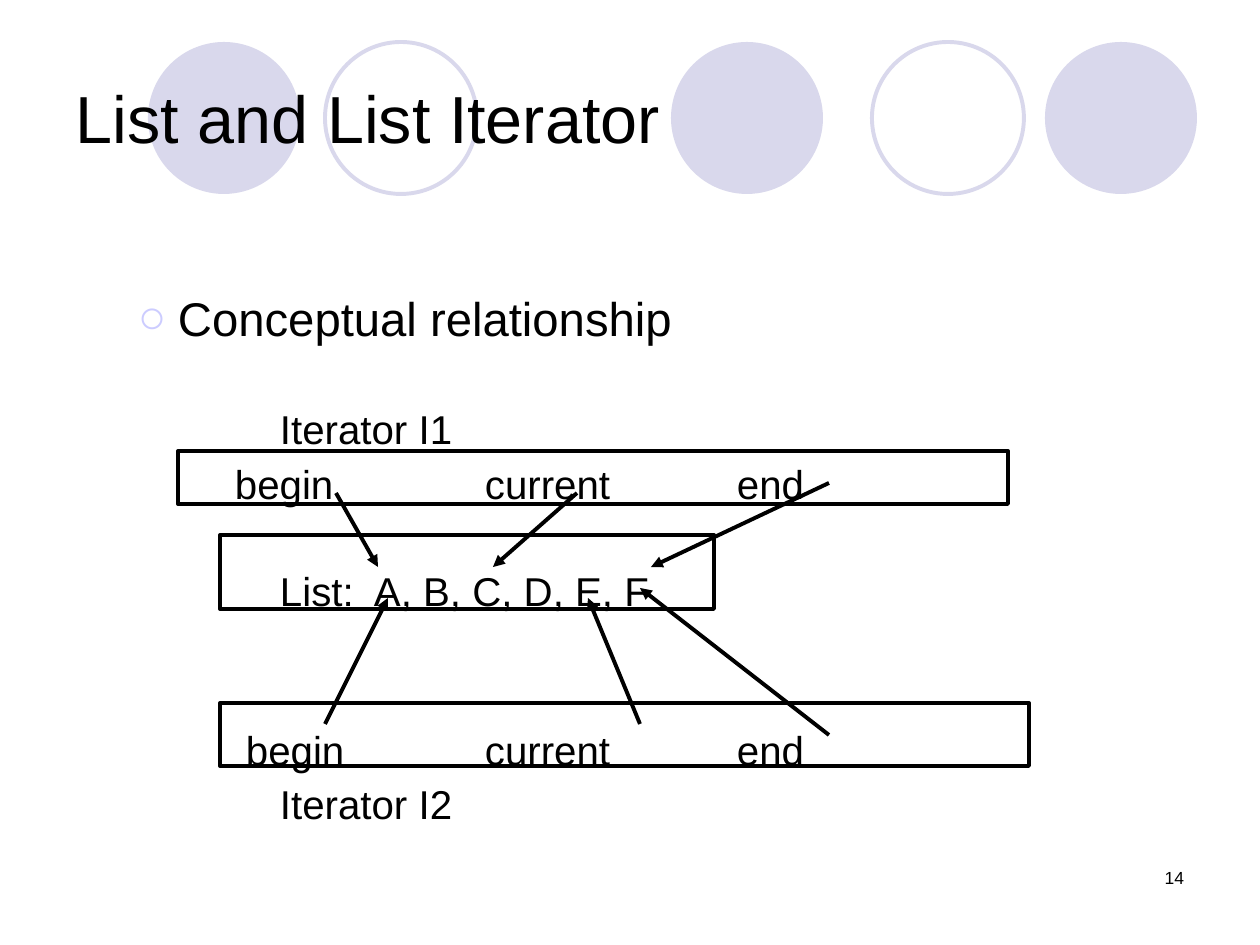
import pptx
import pptx.dml.color
import pptx.enum.shapes
import pptx.enum.text
import pptx.oxml.ns
import pptx.util
from lxml import etree

BLACK = pptx.dml.color.RGBColor(0x00, 0x00, 0x00)
LAVENDER = pptx.dml.color.RGBColor(0xD9, 0xD8, 0xEC)
BULLET = pptx.dml.color.RGBColor(0xCC, 0xCC, 0xFF)
EMU_PER_INCH = 914400
PX_PER_INCH = 126
STROKE = pptx.util.Pt(2.25)
SHAPES = pptx.enum.shapes.MSO_SHAPE
ANCHOR = pptx.enum.text.MSO_ANCHOR
ALIGN = pptx.enum.text.PP_ALIGN


def px(length):
    return pptx.util.Emu(round(length * EMU_PER_INCH / PX_PER_INCH))


def add_xml(parent, tag, **attributes):
    return etree.SubElement(parent, pptx.oxml.ns.qn(tag), **attributes)


def add_outline(slide, kind, box, color, filled=False):
    shape = slide.shapes.add_shape(kind, *map(px, box))
    shape.shadow.inherit = False
    if filled:
        shape.fill.solid()
        shape.fill.fore_color.rgb = color
        shape.line.fill.background()
    else:
        shape.fill.background()
        shape.line.color.rgb = color
        shape.line.width = STROKE


def add_frame(slide, box, inset_x=0, inset_y=0, anchor=ANCHOR.TOP):
    frame = slide.shapes.add_textbox(*map(px, box)).text_frame
    frame.word_wrap = True
    frame.vertical_anchor = anchor
    frame.margin_left = frame.margin_right = px(inset_x)
    frame.margin_top = frame.margin_bottom = px(inset_y)
    return frame


def add_run(paragraph, text, size):
    run = paragraph.add_run()
    run.text = text
    run.font.name = "Arial"
    run.font.size = pptx.util.Pt(size)
    run.font.color.rgb = BLACK


def add_circles(slide, box):
    left, top, width, diameter = box
    for offset, filled in ((0, True), (177, False), (523, True), (724, False), (897, True)):
        circle = (left + offset, top, diameter, diameter)
        add_outline(slide, SHAPES.OVAL, circle, LAVENDER, filled)


def add_title(slide, box):
    title = add_frame(slide, box, 13, 6, ANCHOR.MIDDLE)
    add_run(title.paragraphs[0], "List and List Iterator", 38)


def add_body(slide, box):
    body = add_frame(slide, box)
    heading = body.paragraphs[0]
    properties = heading._p.get_or_add_pPr()
    properties.set("marL", str(px(40)))
    properties.set("indent", str(-px(40)))
    bullet_color = add_xml(properties, "a:buClr")
    add_xml(bullet_color, "a:srgbClr", val=str(BULLET))
    add_xml(properties, "a:buFont", typeface="Arial")
    add_xml(properties, "a:buChar", char="○")
    add_run(heading, "Conceptual relationship", 27)

    rows = (
        (59, ("Iterator I1",), (142,)),
        (6, ("begin", "current", "end"), (97, 347, 599)),
        (59, ("List:", "A, B, C, D, E, F"), (142, 236)),
        (111, ("begin", "current", "end"), (108, 347, 599)),
        (6, ("Iterator I2",), (142,)),
    )
    for gap, words, stops in rows:
        row = body.add_paragraph()
        row.space_before = px(gap)
        tabs = add_xml(row._p.get_or_add_pPr(), "a:tabLst")
        for word, stop in zip(words, stops):
            add_xml(tabs, "a:tab", pos=str(px(stop)), algn="l")
            add_run(row, "\t" + word, 23)


def add_arrow(slide, start, end):
    arrow = slide.shapes.add_connector(
        pptx.enum.shapes.MSO_CONNECTOR.STRAIGHT, *map(px, start + end))
    arrow.line.color.rgb = BLACK
    arrow.line.width = STROKE
    add_xml(arrow.line._get_or_add_ln(), "a:tailEnd", type="triangle")
    add_xml(arrow._element.spPr, "a:effectLst")


def add_diagram(slide, box):
    left, top, width, height = box
    for x, y, frame_width, frame_height in (
        (42, 252, 809, 63),
        (0, 0, 830, 53),
        (42, 84, 494, 74),
    ):
        frame = (left + x, top + y, frame_width, frame_height)
        add_outline(slide, SHAPES.RECTANGLE, frame, BLACK)
    for x1, y1, x2, y2 in (
        (158, 42, 200, 116),
        (399, 42, 315, 116),
        (651, 32, 473, 116),
        (147, 273, 210, 147),
        (651, 284, 462, 137),
        (462, 273, 410, 147),
    ):
        add_arrow(slide, (left + x1, top + y1), (left + x2, top + y2))


def add_slide_number(slide, box):
    number = add_frame(slide, box, 13, 6).paragraphs[0]
    number.alignment = ALIGN.RIGHT
    add_run(number, "14", 10)


def main():
    deck = pptx.Presentation()
    deck.slide_width = px(1260)
    deck.slide_height = px(945)
    slide = deck.slides.add_slide(deck.slide_layouts[6])
    add_circles(slide, (148, 42, 1049, 152))
    add_title(slide, (63, 38, 1134, 158))
    add_body(slide, (138, 289, 1046, 540))
    add_diagram(slide, (178, 451, 851, 315))
    add_slide_number(slide, (903, 861, 294, 63))
    deck.save("out.pptx")


if __name__ == "__main__":
    main()
